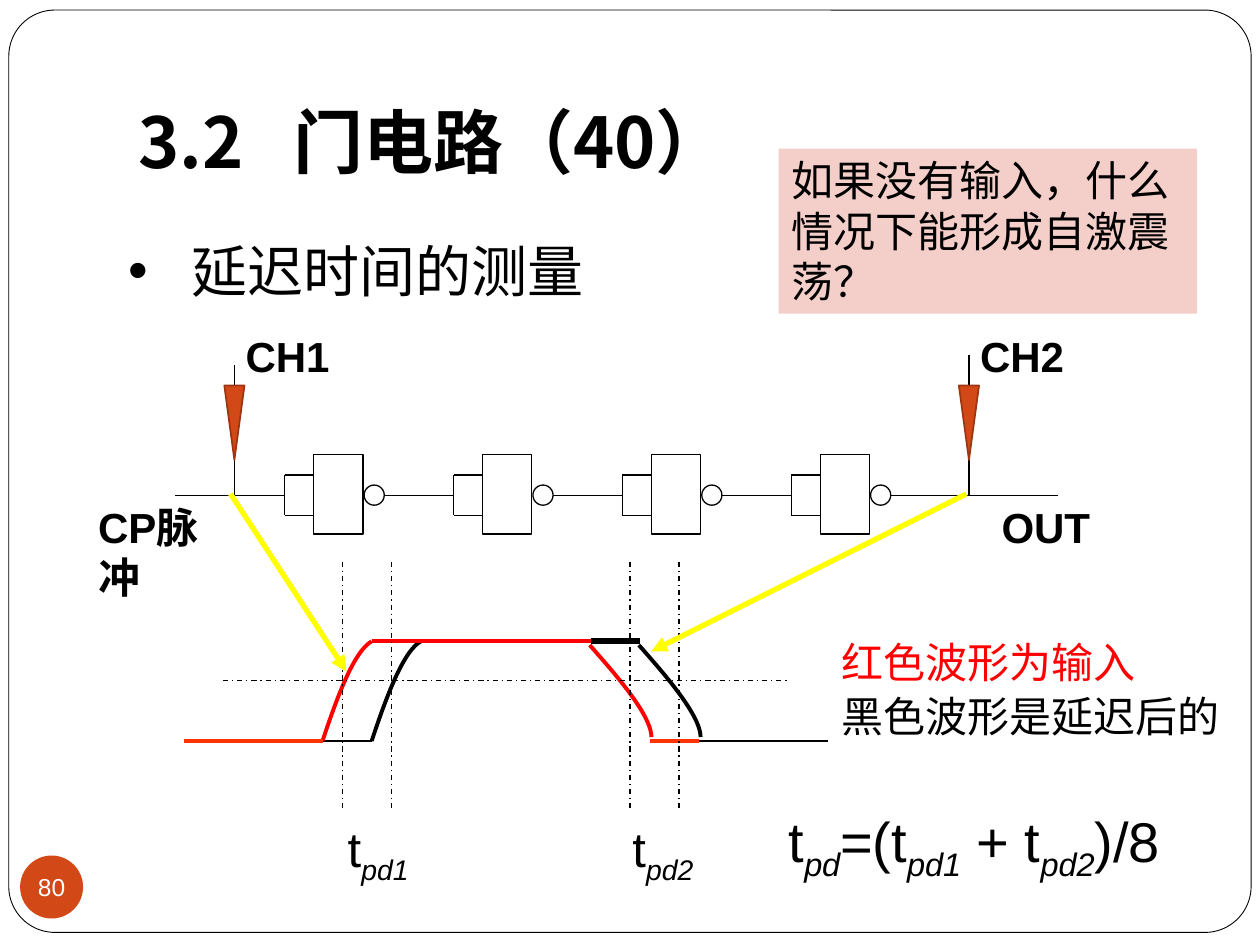
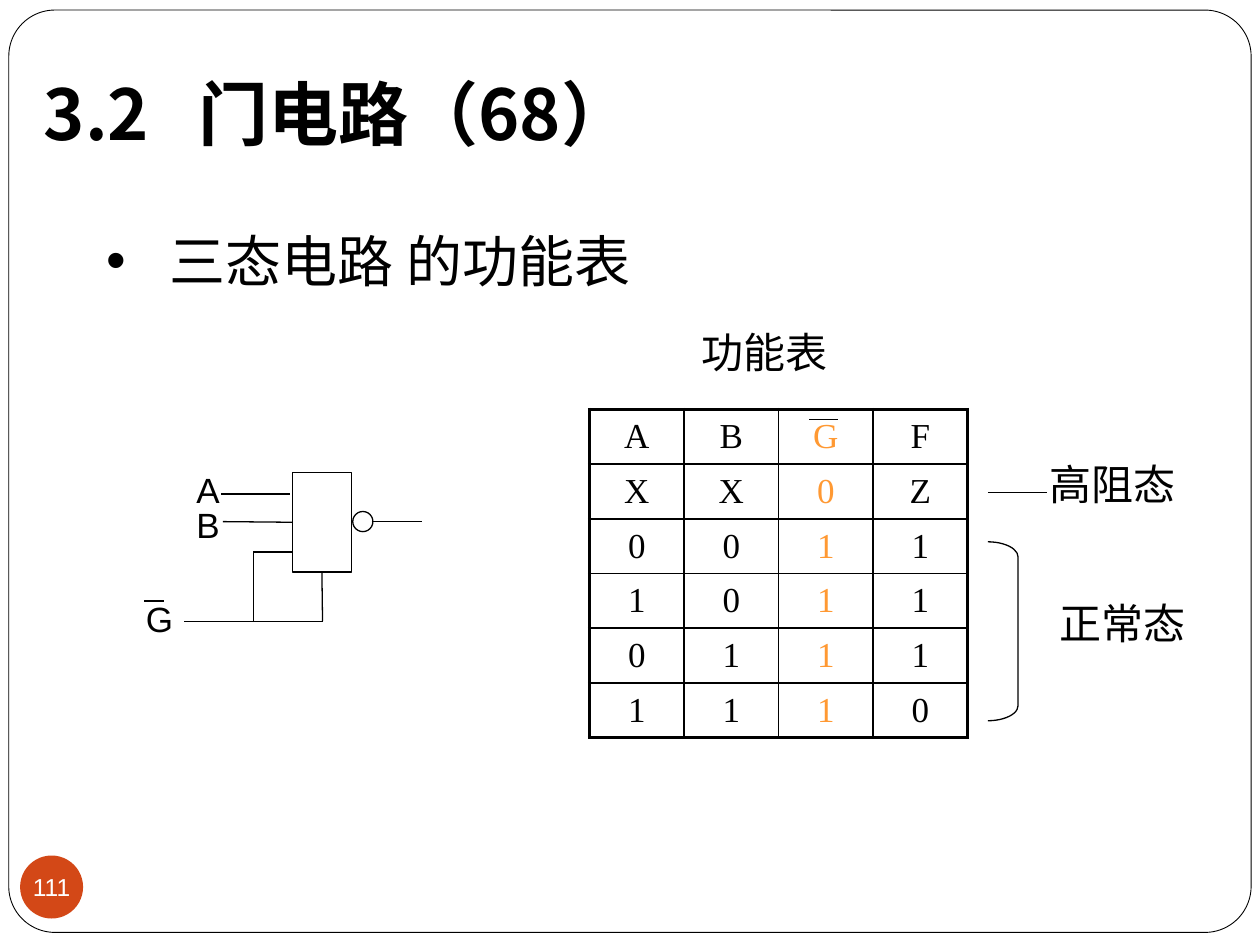
from dataclasses import dataclass
from typing import Optional

from lxml.etree import SubElement
from pptx import Presentation
from pptx.dml.color import RGBColor
from pptx.enum.dml import MSO_LINE_DASH_STYLE as Dash
from pptx.enum.shapes import MSO_CONNECTOR as Connector, MSO_SHAPE as Preset
from pptx.enum.text import MSO_ANCHOR as Anchor, PP_ALIGN as Align
from pptx.oxml import parse_xml
from pptx.oxml.ns import nsdecls, qn
from pptx.util import Inches, Pt

BLACK = RGBColor(0x00, 0x00, 0x00)
WHITE = RGBColor(0xFF, 0xFF, 0xFF)
ACCENT = RGBColor(0xD3, 0x48, 0x17)
ACCENT_EDGE = RGBColor(0x9C, 0x35, 0x11)
RED = RGBColor(0xFF, 0x00, 0x00)
BASE_RED = RGBColor(0xFF, 0x33, 0x00)
YELLOW = RGBColor(0xFF, 0xFF, 0x00)
ORANGE = RGBColor(0xFF, 0x99, 0x33)
PINK = RGBColor(0xF4, 0xCE, 0xC9)
SANS, SERIF, CJK = "Arial", "Times New Roman", "Noto Sans CJK JP"

Box = tuple[float, float, float, float]
Point = tuple[float, float]


@dataclass(frozen=True)
class Style:
    size: float = 24
    font: str = SANS
    color: RGBColor = BLACK
    bold: bool = False


@dataclass(frozen=True)
class Label:
    text: str
    box: Box
    style: Style = Style()


@dataclass(frozen=True)
class Wire:
    start: Point
    end: Point
    color: RGBColor = BLACK
    width: float = 0.75
    dash: Optional[Dash] = None
    arrow: bool = False


@dataclass(frozen=True)
class Curve:
    controls: tuple[Point, Point, Point, Point]
    color: RGBColor


PROBE_STYLE = Style(bold=True)
TITLE_STYLE = Style(40, CJK, bold=True)
BULLET_STYLE = Style(32, CJK)
NOTE_STYLE = Style(24, CJK)
PIN_STYLE = Style(20)


def format_run(run, style: Style) -> None:
    font = run.font
    font.size, font.name, font.bold = Pt(style.size), style.font, style.bold
    font.color.rgb = style.color
    SubElement(run._r.get_or_add_rPr(), qn("a:ea"), typeface=CJK)


def format_paragraph(paragraph, style: Style) -> None:
    for run in paragraph.runs:
        format_run(run, style)


def draw_label(slide, label: Label):
    textbox = slide.shapes.add_textbox(*map(Inches, label.box))
    frame = textbox.text_frame
    frame.word_wrap = True
    frame.text = label.text
    format_paragraph(frame.paragraphs[0], label.style)
    return textbox


def draw_formula(slide, formula: Label) -> None:
    frame = draw_label(slide, Label("", formula.box)).text_frame
    frame.margin_left = frame.margin_right = 0
    for index, part in enumerate(formula.text.split("|")):
        if not part:
            continue
        run = frame.paragraphs[0].add_run()
        run.text = part
        format_run(run, formula.style)
        if index % 2:
            run.font.italic = True
            run._r.get_or_add_rPr().set("baseline", "-25000")


def draw_title(slide, title: Label) -> None:
    frame = draw_label(slide, title).text_frame
    frame.vertical_anchor = Anchor.BOTTOM
    frame.margin_bottom = Inches(0.1)
    tabs = SubElement(frame.paragraphs[0]._p.get_or_add_pPr(), qn("a:tabLst"))
    SubElement(tabs, qn("a:tab"), pos=str(Inches(1.23)), algn="l")


def draw_bullet(slide, topic: Label) -> None:
    paragraph = draw_label(slide, topic).text_frame.paragraphs[0]
    properties = paragraph._p.get_or_add_pPr()
    properties.set("marL", str(Inches(0.5)))
    properties.set("indent", str(Inches(-0.5)))
    SubElement(properties, qn("a:buFont"), typeface=SANS)
    SubElement(properties, qn("a:buChar"), char="•")


def draw_shape(slide, preset: Preset, box: Box, fill: Optional[RGBColor] = None,
               edge: Optional[RGBColor] = BLACK, width: float = 0.75):
    shape = slide.shapes.add_shape(preset, *map(Inches, box))
    shape.shadow.inherit = False
    if fill is None:
        shape.fill.background()
    else:
        shape.fill.solid()
        shape.fill.fore_color.rgb = fill
    if edge is None:
        shape.line.fill.background()
    else:
        shape.line.color.rgb = edge
        shape.line.width = Pt(width)
    return shape


def draw_wire(slide, wire: Wire):
    connector = slide.shapes.add_connector(
        Connector.STRAIGHT, *map(Inches, wire.start + wire.end))
    line = connector.line
    line.color.rgb, line.width = wire.color, Pt(wire.width)
    if wire.dash:
        line.dash_style = wire.dash
    if wire.arrow:
        SubElement(line._get_or_add_ln(), qn("a:tailEnd"), type="triangle")
    SubElement(connector._element.spPr, qn("a:effectLst"))
    return connector


def bezier(controls: tuple[Point, ...], t: float) -> tuple[int, int]:
    weights = ((1 - t) ** 3, 3 * t * (1 - t) ** 2, 3 * t * t * (1 - t), t ** 3)
    x, y = (sum(w * point[axis] for w, point in zip(weights, controls))
            for axis in (0, 1))
    return Inches(x), Inches(y)


def draw_curve(slide, curve: Curve, steps: int = 24) -> None:
    points = [bezier(curve.controls, i / steps) for i in range(steps + 1)]
    builder = slide.shapes.build_freeform(*points[0])
    builder.add_line_segments(points[1:], close=False)
    edge = builder.convert_to_shape()
    edge.shadow.inherit = False
    edge.fill.background()
    edge.line.color.rgb, edge.line.width = curve.color, Pt(2.25)


def start_slide(deck, title: Label, topic: Label, number: int):
    slide = deck.slides.add_slide(deck.slide_layouts[6])
    border = draw_shape(slide, Preset.ROUNDED_RECTANGLE, (0.07, 0.08, 9.86, 7.32), WHITE, width=0.5)
    border.adjustments[0] = 0.05
    draw_title(slide, title)
    draw_bullet(slide, topic)
    badge = draw_shape(slide, Preset.OVAL, (0.16, 6.79, 0.5, 0.5), ACCENT, None)
    frame = badge.text_frame
    frame.margin_left = frame.margin_right = frame.margin_top = frame.margin_bottom = 0
    frame.word_wrap = False
    frame.vertical_anchor = Anchor.MIDDLE
    frame.text = str(number)
    frame.paragraphs[0].alignment = Align.CENTER
    format_paragraph(frame.paragraphs[0], Style(14, color=WHITE))
    return slide


def draw_inverter(slide, left: float) -> None:
    draw_shape(slide, Preset.RECTANGLE, (left, 3.61, 0.39, 0.63))
    draw_shape(slide, Preset.OVAL, (left + 0.4, 3.85, 0.16, 0.16))
    joint = left - 0.23
    for y in (3.77, 4.09):
        draw_wire(slide, Wire((left, y), (joint, y)))
    draw_wire(slide, Wire((joint, 3.77), (joint, 4.09)))


def draw_probe(slide, x: float, tip: float, top: float, name: str) -> None:
    draw_wire(slide, Wire((x, 3.93), (x, tip)))
    draw_wire(slide, Wire((x, 3.14), (x, top)))
    draw_label(slide, Label(name, (x - 0.01, 2.57, 1.02, 0.51), PROBE_STYLE))
    needle = draw_shape(slide, Preset.ISOSCELES_TRIANGLE, (x - 0.08, 3.06, 0.16, 0.59),
                        ACCENT, ACCENT_EDGE, 1)
    needle.rotation = 180


def draw_waveforms(slide) -> None:
    high, low, delay = 5.09, 5.88, 0.39
    for start, end in ((1.46, 2.95), (5.16, 6.57)):
        draw_wire(slide, Wire((start, low), (end, low)))
    for shift, color in ((0, RED), (delay, BLACK)):
        rise = ((2.56, low), (2.68, 5.52), (2.81, 5.17), (2.95, high))
        fall = ((4.68, 5.12), (4.93, 5.4), (5.17, 5.69), (5.17, 5.85))
        for edge in (rise, fall):
            draw_curve(slide, Curve(tuple((x + shift, y) for x, y in edge), color))
    for level in (
        Wire((2.95, high), (5.08, high), RED, 2.25),
        Wire((4.69, high), (5.08, high), BLACK, 3.25),
        Wire((5.16, low), (5.55, low), BASE_RED, 2.25),
        Wire((1.46, low), (2.56, low), BASE_RED, 2.25),
        Wire((1.77, 5.4), (6.26, 5.4), dash=Dash.DASH_DOT),
    ):
        draw_wire(slide, level)
    for x in (2.72, 2.72 + delay, 5, 5 + delay):
        draw_wire(slide, Wire((x, 4.46), (x, 6.43), dash=Dash.DASH_DOT))


def build_delay_slide(deck) -> None:
    slide = start_slide(deck, Label("3.2\t门电路（40）", (1, 0.3, 8.5, 1.25), TITLE_STYLE),
                        Label("延迟时间的测量", (0.92, 1.83, 4.49, 0.83), BULLET_STYLE), 80)
    gate_lefts = [2.49 + 1.34 * i for i in range(4)]
    wire_starts = [1.39] + [left + 0.56 for left in gate_lefts]
    wire_ends = [left - 0.23 for left in gate_lefts] + [8.4]
    for left in gate_lefts:
        draw_inverter(slide, left)
    for start, end in zip(wire_starts, wire_ends):
        draw_wire(slide, Wire((start, 3.93), (end, 3.93)))
    draw_probe(slide, 1.86, 3.53, 2.9, "CH1")
    draw_probe(slide, 7.69, 3.45, 2.82, "CH2")
    draw_label(slide, Label("CP脉冲", (0.68, 3.93, 1.26, 0.51), PROBE_STYLE))
    draw_label(slide, Label("OUT", (7.85, 3.93, 1.02, 0.51), PROBE_STYLE))
    draw_waveforms(slide)
    for start, end in (((1.83, 3.92), (2.75, 5.33)), ((7.67, 3.92), (5.17, 5.17))):
        draw_wire(slide, Wire(start, end, YELLOW, 3, arrow=True))
    legend = draw_label(slide, Label("红色波形为输入", (6.58, 5, 3.33, 0.95),
                                     Style(24, CJK, RED))).text_frame
    delayed = legend.add_paragraph()
    delayed.text = "黑色波形是延迟后的"
    delayed.space_before = Pt(2.4)
    format_paragraph(delayed, NOTE_STYLE)
    for formula in (
        Label("t|pd|=(t|pd1| + t|pd2|)/8", (6.26, 6.35, 3.74, 0.64), Style(32)),
        Label("t|pd1", (2.76, 6.45, 0.7, 0.57), Style(28)),
        Label("t|pd2", (5.02, 6.45, 0.7, 0.57), Style(28)),
    ):
        draw_formula(slide, formula)
    question = draw_shape(slide, Preset.RECTANGLE, (6.18, 1.18, 3.32, 1.31), PINK, None).text_frame
    question.word_wrap = True
    question.vertical_anchor = Anchor.TOP
    question.text = "如果没有输入，什么情况下能形成自激震荡？"
    question.paragraphs[0].alignment = Align.LEFT
    format_paragraph(question.paragraphs[0], Style(24, SERIF))


def draw_truth_table(slide) -> None:
    rows = ("ABGF", "XX0Z", "0011", "1011", "0111", "1110")
    last_row, last_column = len(rows) - 1, len(rows[0]) - 1
    table = slide.shapes.add_table(len(rows), len(rows[0]), *map(Inches, (4.68, 3.25, 3, 2.6))).table
    table.first_row = table.horz_banding = False
    for r, row in enumerate(rows):
        for c, value in enumerate(row):
            cell = table.cell(r, c)
            cell.text = value
            cell.vertical_anchor = Anchor.MIDDLE
            cell.fill.background()
            paragraph = cell.text_frame.paragraphs[0]
            paragraph.alignment = Align.CENTER
            format_paragraph(paragraph, Style(20, SERIF, ORANGE if c == 2 else BLACK))
            outer = {"L": c == 0, "R": c == last_column, "T": r == 0, "B": r == last_row}
            for index, (side, is_outer) in enumerate(outer.items()):
                width = Pt(2.25 if is_outer else 1)
                cell._tc.get_or_add_tcPr().insert(index, parse_xml(
                    f'<a:ln{side} {nsdecls("a")} w="{width}"><a:solidFill>'
                    f'<a:srgbClr val="{BLACK}"/></a:solidFill></a:ln{side}>'))


def draw_tristate_gate(slide) -> None:
    gate = draw_shape(slide, Preset.RECTANGLE, (2.32, 3.75, 0.47, 0.79))
    draw_shape(slide, Preset.OVAL, (2.8, 4.06, 0.16, 0.16))
    draw_wire(slide, Wire((2.32, 4.14), (1.77, 4.14))).begin_connect(gate, 1)
    draw_wire(slide, Wire((2.56, 4.54), (2.56, 4.93))).begin_connect(gate, 2)
    for start, end in (
        ((2.32, 4.38), (2.01, 4.38)), ((2.3, 3.92), (1.75, 3.92)),
        ((2.01, 4.38), (2.01, 4.93)), ((2.56, 4.93), (1.46, 4.93)),
        ((2.95, 4.14), (3.35, 4.14)), ((1.3, 4.77), (1.14, 4.77)),
    ):
        draw_wire(slide, Wire(start, end))
    for pin, left, top in (("A", 1.46, 3.67), ("B", 1.46, 3.95), ("G", 1.06, 4.69)):
        draw_label(slide, Label(pin, (left, top, 0.39, 0.43), PIN_STYLE))


def build_tristate_slide(deck) -> None:
    slide = start_slide(deck, Label("3.2\t门电路（68）", (0.25, 0.25, 9.42, 1.08), TITLE_STYLE),
                        Label("三态电路 的功能表", (0.75, 1.75, 8.67, 0.83), BULLET_STYLE), 111)
    draw_truth_table(slide)
    for text, left, top in (("功能表", 5.47, 2.54), ("高阻态", 8.23, 3.59), ("正常态", 8.31, 4.69)):
        draw_label(slide, Label(text, (left, top, 1.34, 0.5), NOTE_STYLE))
    for start, end in (((7.84, 3.91), (8.31, 3.91)), ((6.65, 3.33), (6.42, 3.33))):
        draw_wire(slide, Wire(start, end))
    normal_rows = draw_shape(slide, Preset.RIGHT_BRACKET, (7.84, 4.3, 0.24, 1.42))
    normal_rows.adjustments[0] = 0.5
    draw_tristate_gate(slide)


def main() -> None:
    deck = Presentation()
    deck.slide_width, deck.slide_height = Inches(10), Inches(7.5)
    build_delay_slide(deck)
    build_tristate_slide(deck)
    deck.save("out.pptx")


if __name__ == "__main__":
    main()
